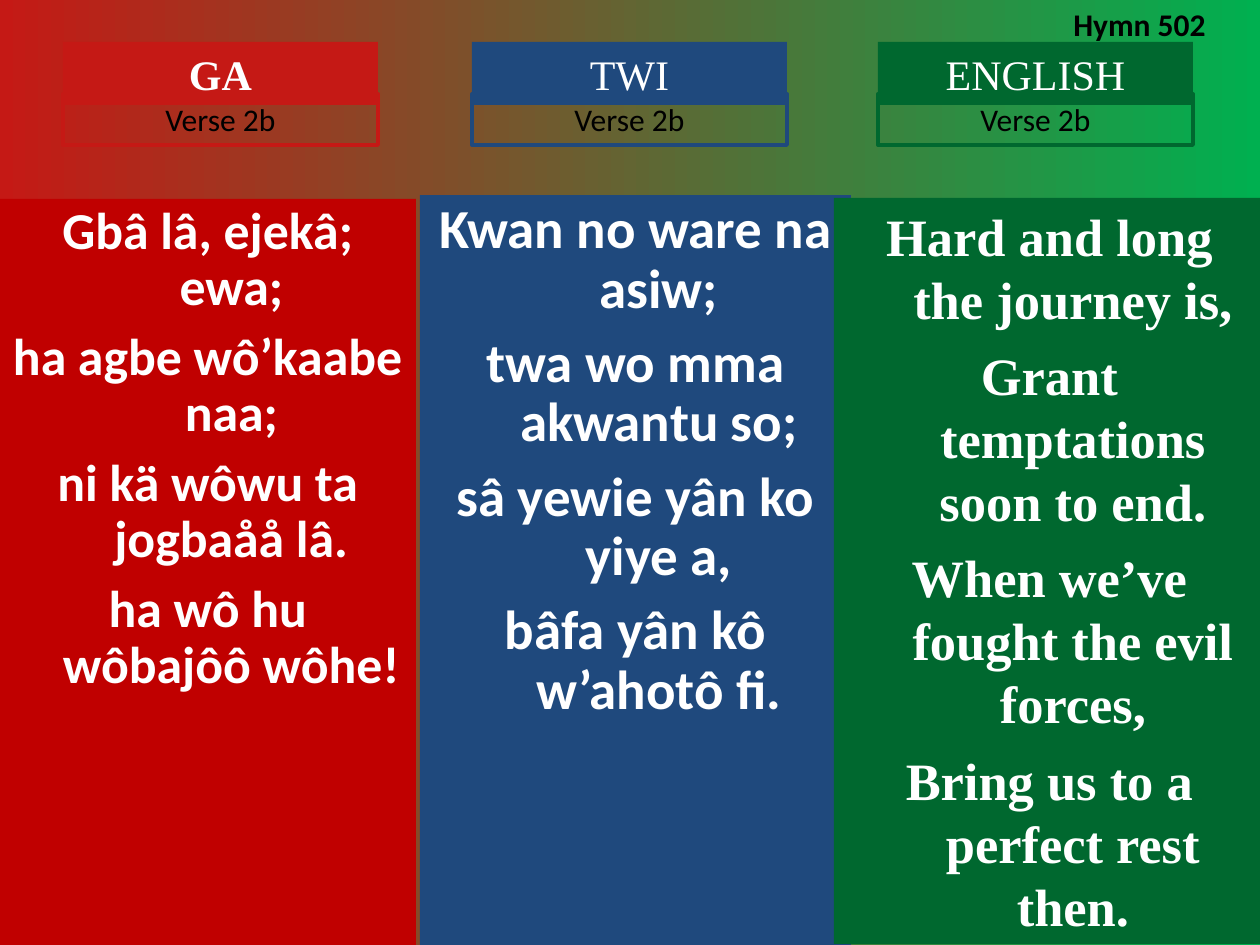
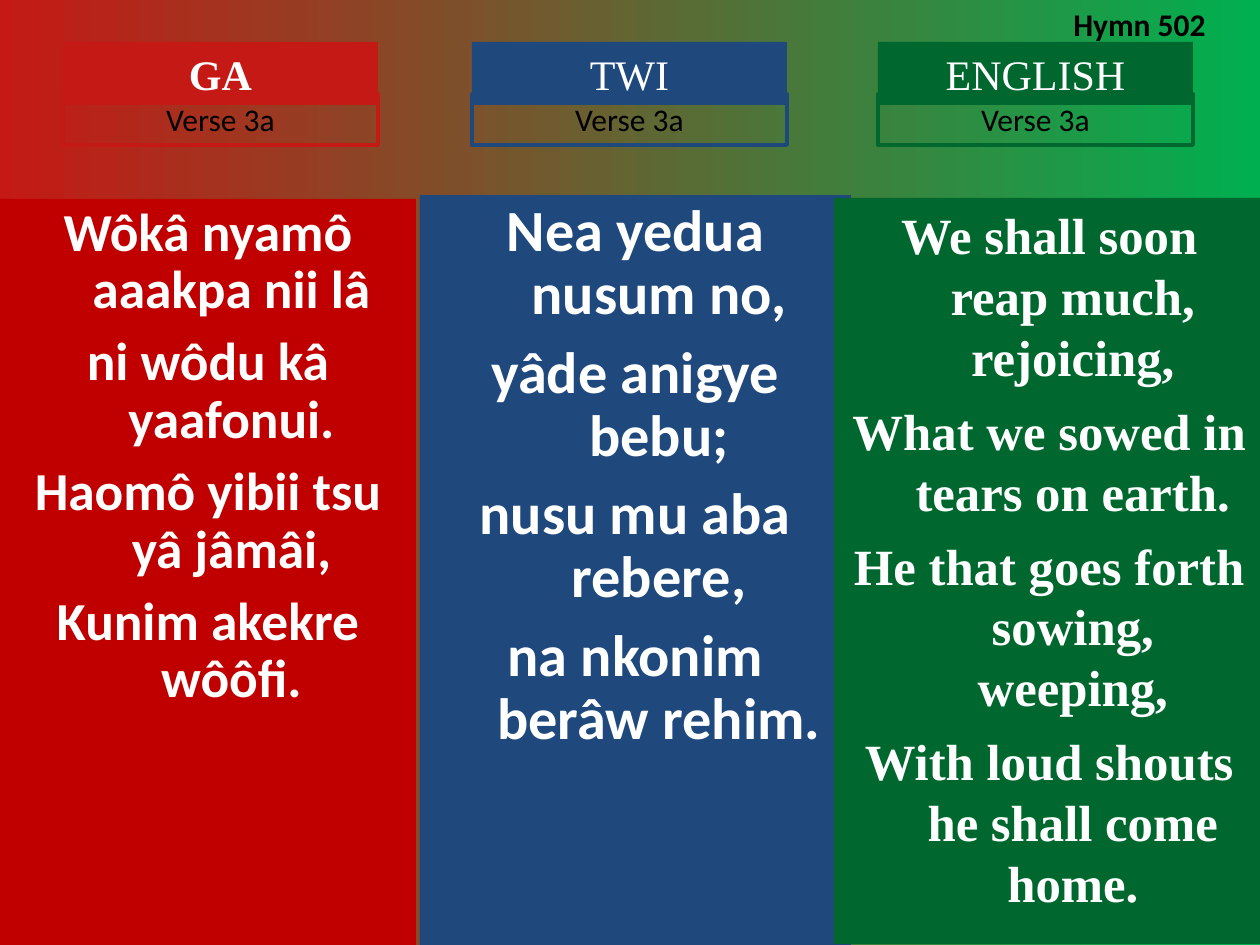
from dataclasses import dataclass

from pptx import Presentation
from pptx.dml.color import RGBColor
from pptx.enum.shapes import MSO_SHAPE as Shape
from pptx.enum.text import MSO_ANCHOR as Anchor, PP_ALIGN as Align
from pptx.util import Emu, Pt

HYMN = "Hymn 502"

VERSES = [
    {
        "label": "Verse 2b",
        "GA": (29.6, 8, ["Gbâ lâ, ejekâ; ewa;", "ha agbe wô’kaabe naa;",
                         "ni kä wôwu ta jogbaåå lâ.", "ha wô hu wôbajôô wôhe!"]),
        "TWI": (31.4, 8.5, ["Kwan no ware na asiw;", "twa wo mma akwantu so;",
                            "sâ yewie yân ko yiye a,", "bâfa yân kô w’ahotô fi."]),
        "ENGLISH": (30, 7.5, ["Hard and long the journey is,", "Grant temptations soon to end.",
                              "When we’ve fought the evil forces,",
                              "Bring us to a perfect rest then."]),
    },
    {
        "label": "Verse 3a",
        "GA": (30.5, 8.2, ["Wôkâ nyamô aaakpa nii lâ", "ni wôdu kâ yaafonui.",
                           "Haomô yibii tsu yâ jâmâi,", "Kunim akekre wôôfi."]),
        "TWI": (33.3, 9, ["Nea yedua nusum no,", "yâde anigye bebu;",
                          "nusu mu aba rebere,", "na nkonim berâw rehim."]),
        "ENGLISH": (29, 7.3, ["We shall soon reap much, rejoicing,",
                              "What we sowed in tears on earth.",
                              "He that goes forth sowing, weeping,",
                              "With loud shouts he shall come home."]),
    },
]


@dataclass(frozen=True)
class Theme:
    """Colours, fonts and type sizes shared by both slides."""
    red: str = "C51915"
    deep_red: str = "C00000"
    blue: str = "1F497D"
    green: str = "00682F"
    bright_green: str = "00B050"
    white: str = "FFFFFF"
    black: str = "000000"
    sans: str = "Calibri"
    serif: str = "Times New Roman"
    header_size: int = 24
    label_size: int = 18
    frame_width: float = 2.25


THEME = Theme()

LANGUAGES = [
    {"name": "GA", "tint": THEME.red, "panel_fill": THEME.deep_red, "font": THEME.sans,
     "spacing": 0.9, "panel": (0, 199, 416, 746), "left": 63, "bold": True},
    {"name": "TWI", "tint": THEME.blue, "panel_fill": THEME.blue, "font": THEME.sans,
     "spacing": 0.9, "panel": (420, 195, 431, 750), "left": 472, "bold": False},
    {"name": "ENGLISH", "tint": THEME.green, "panel_fill": THEME.green, "font": THEME.serif,
     "spacing": 1.0, "panel": (834, 198, 431, 746), "left": 878, "bold": False},
]

PAGE = (1260, 945)
HEADER = {"top": 42, "width": 315, "height": 63}
FRAME = {"top": 94, "width": 315, "height": 51}
HYMN_BOX = (1061, -1, 189, 51)
HANGING = 47


def px(length):
    """Turn pixels into EMU."""
    return Emu(round(length * 914400 / 126))


def rgb(code):
    """Turn a hex code into a colour."""
    return RGBColor.from_string(code)


def write(box, lines, font, size, color, bold=False, align=Align.CENTER,
          gap=0, spacing=None, hanging=0):
    """Write one paragraph per line, all in one style."""
    frame = box.text_frame
    frame.word_wrap = True
    frame.vertical_anchor = Anchor.TOP
    for index, line in enumerate(lines):
        para = frame.add_paragraph() if index else frame.paragraphs[0]
        para.text = line
        para.alignment = align
        para.line_spacing = spacing
        if index:
            para.space_before = Pt(gap)
        if hanging:
            props = para._p.get_or_add_pPr()
            props.set("marL", str(px(hanging)))
            props.set("indent", str(-px(hanging)))
        para.font.name = font
        para.font.size = Pt(size)
        para.font.bold = bold
        para.font.color.rgb = rgb(color)


def add_block(page, place, fill=None, line=None):
    """Add a rectangle with a fill or an outline."""
    block = page.shapes.add_shape(Shape.RECTANGLE, *map(px, place))
    block.shadow.inherit = False
    if fill:
        block.fill.solid()
        block.fill.fore_color.rgb = rgb(fill)
    else:
        block.fill.background()
    if line:
        block.line.color.rgb = rgb(line)
        block.line.width = Pt(THEME.frame_width)
    else:
        block.line.fill.background()
    return block


def paint_background(page):
    """Fill the page with the red to green gradient."""
    fill = page.background.fill
    fill.gradient()
    fill.gradient_angle = 0
    for stop, color, position in zip(fill.gradient_stops, (THEME.red, THEME.bright_green), (0, 1)):
        stop.color.rgb = rgb(color)
        stop.position = position


def add_language(page, language, verse):
    """Add the panel, header and verse label of one language."""
    size, gap, lines = verse[language["name"]]
    panel = add_block(page, language["panel"], fill=language["panel_fill"])
    write(panel, lines, language["font"], size, THEME.white, bold=True,
          gap=gap, spacing=language["spacing"], hanging=HANGING)
    header = add_block(page, (language["left"], *HEADER.values()), fill=language["tint"])
    write(header, [language["name"]], THEME.serif, THEME.header_size, THEME.white,
          bold=language["bold"])
    label = add_block(page, (language["left"], *FRAME.values()), line=language["tint"])
    write(label, [verse["label"]], THEME.sans, THEME.label_size, THEME.black)


def main():
    """Build one slide per verse."""
    deck = Presentation()
    deck.slide_width, deck.slide_height = map(px, PAGE)
    for verse in VERSES:
        page = deck.slides.add_slide(deck.slide_layouts[6])
        paint_background(page)
        for language in LANGUAGES:
            add_language(page, language, verse)
        box = page.shapes.add_textbox(*map(px, HYMN_BOX))
        write(box, [HYMN], THEME.sans, THEME.label_size, THEME.black, bold=True, align=Align.LEFT)
    deck.save("out.pptx")


if __name__ == "__main__":
    main()
